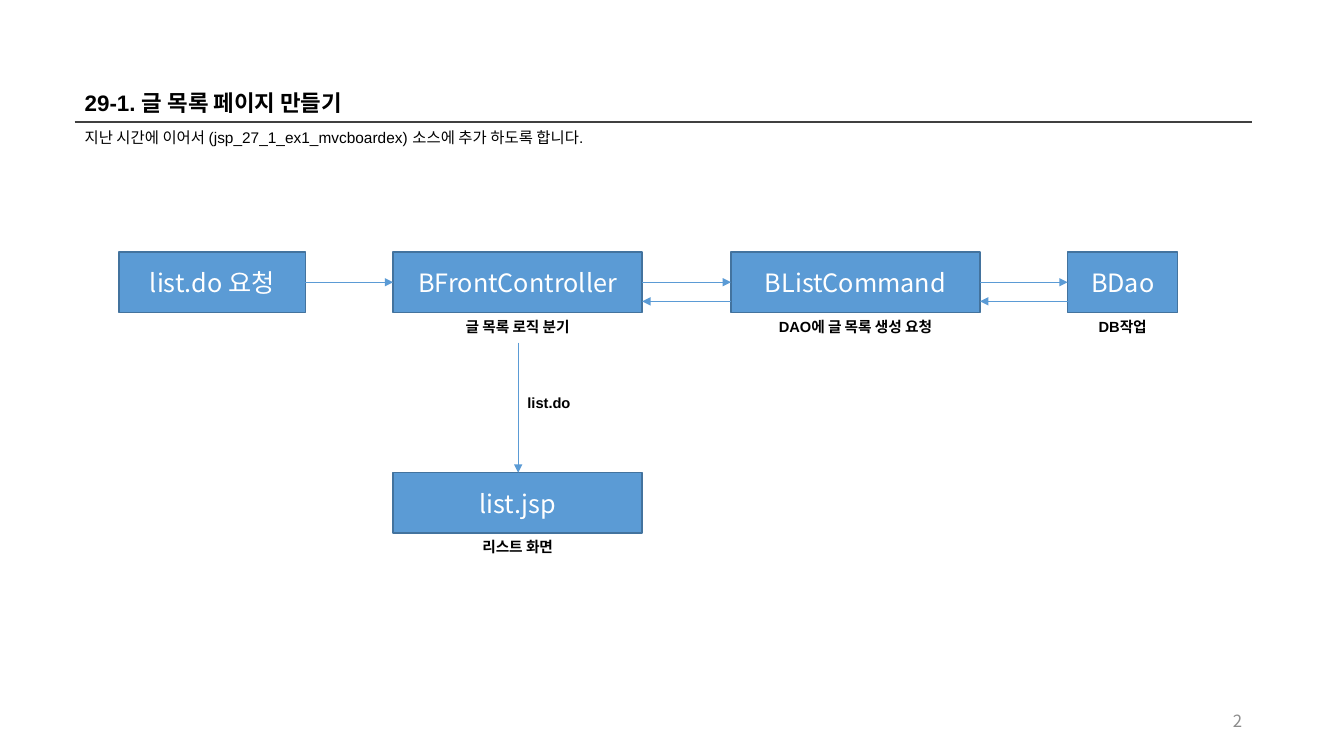
from lxml.etree import SubElement
from pptx import Presentation
from pptx.dml.color import RGBColor
from pptx.enum.shapes import MSO_CONNECTOR, MSO_SHAPE
from pptx.enum.text import MSO_ANCHOR, MSO_AUTO_SIZE, PP_ALIGN
from pptx.oxml.ns import qn
from pptx.util import Inches, Pt

KOREAN_FONT = "Noto Sans CJK KR"
BOX_TOP = 2.5
BOX_HEIGHT = 0.6
LIST_TOP = 4.69
ARROW_Y = BOX_TOP + BOX_HEIGHT / 2
CONTROLLER_CENTER = 5.14
STEPS = [
    ("list.do 요청", 1.18, 1.85, BOX_TOP, ""),
    ("BFrontController", 3.9, 2.47, BOX_TOP, "글 목록 로직 분기"),
    ("BListCommand", 7.25, 2.47, BOX_TOP, "DAO에 글 목록 생성 요청"),
    ("BDao", 10.59, 1.09, BOX_TOP, "DB작업"),
    ("list.jsp", 3.9, 2.47, LIST_TOP, "리스트 화면"),
]


def color(value):
    """Turn a hex string into a colour."""
    return RGBColor.from_string(value)


def write(shape, text, size=10.5, font="Arial", fill="000000", bold=False,
          align=PP_ALIGN.LEFT, anchor=MSO_ANCHOR.TOP):
    """Put formatted text into a shape."""
    frame = shape.text_frame
    frame.word_wrap = True
    frame.auto_size = MSO_AUTO_SIZE.NONE
    frame.vertical_anchor = anchor
    para = frame.paragraphs[0]
    para.alignment = align
    span = para.add_run()
    span.text = text
    span.font.size = Pt(size)
    span.font.name = font
    span.font.bold = bold
    span.font.color.rgb = color(fill)
    SubElement(span.font._element, qn("a:ea")).set("typeface", KOREAN_FONT)


def add_title(page, text):
    """Fill and place the title placeholder."""
    title = page.shapes.title
    title.left, title.top = Inches(0.74), Inches(0.83)
    title.width, title.height = Inches(11.68), Inches(0.37)
    write(title, text, size=16, bold=True)


def add_text(page, text, left, top, width, height=0.29, **style):
    """Add a text box."""
    box = page.shapes.add_textbox(
        Inches(left), Inches(top), Inches(width), Inches(height))
    write(box, text, **style)


def add_step(page, name, left, width, top, caption):
    """Add a flow box with an optional caption below it."""
    box = page.shapes.add_shape(
        MSO_SHAPE.RECTANGLE, Inches(left), Inches(top), Inches(width), Inches(BOX_HEIGHT))
    box.shadow.inherit = False
    box.fill.solid()
    box.fill.fore_color.rgb = color("5B9BD5")
    box.line.color.rgb = color("43739E")
    box.line.width = Pt(1)
    write(box, name, size=18, font=KOREAN_FONT, fill="FFFFFF",
          align=PP_ALIGN.CENTER, anchor=MSO_ANCHOR.MIDDLE)
    if caption:
        add_text(page, caption, left, top + BOX_HEIGHT, width,
                 bold=True, align=PP_ALIGN.CENTER)


def add_line(page, start, end, stroke="5B9BD5", width=0.5, arrow=True):
    """Add a straight line, with an arrowhead at its end if wanted."""
    line = page.shapes.add_connector(
        MSO_CONNECTOR.STRAIGHT, *(Inches(value) for value in (*start, *end)))
    line.line.color.rgb = color(stroke)
    line.line.width = Pt(width)
    if arrow:
        SubElement(line.line._get_or_add_ln(), qn("a:tailEnd")).set("type", "triangle")
    SubElement(line._element.spPr, qn("a:effectLst"))


def add_flow(page):
    """Add the boxes and the arrows between them."""
    for step in STEPS:
        add_step(page, *step)
    row = STEPS[:4]
    for index, (source, target) in enumerate(zip(row, row[1:])):
        right, left = source[1] + source[2], target[1]
        add_line(page, (right, ARROW_Y), (left, ARROW_Y))
        if index > 0:
            add_line(page, (left, ARROW_Y + 0.19), (right, ARROW_Y + 0.19))
    add_line(page, (CONTROLLER_CENTER, 3.4), (CONTROLLER_CENTER, LIST_TOP))
    add_text(page, "list.do", 5.03, 3.86, 0.83, bold=True, align=PP_ALIGN.CENTER)


def main():
    """Build and save the slide."""
    deck = Presentation()
    deck.slide_width, deck.slide_height = Inches(13.33), Inches(7.5)
    page = deck.slides.add_slide(deck.slide_layouts[5])
    add_title(page, "29-1. 글 목록 페이지 만들기")
    add_line(page, (0.74, 1.21), (12.42, 1.21), stroke="404040", width=1, arrow=False)
    add_text(page, "지난 시간에 이어서 (jsp_27_1_ex1_mvcboardex) 소스에 추가 하도록 합니다.",
             0.74, 1.22, 11.68, size=11)
    add_flow(page)
    add_text(page, "2", 9.42, 6.95, 3, 0.4, size=12, font=KOREAN_FONT, fill="8C8C8C",
             align=PP_ALIGN.RIGHT, anchor=MSO_ANCHOR.MIDDLE)
    deck.save("out.pptx")


if __name__ == "__main__":
    main()
